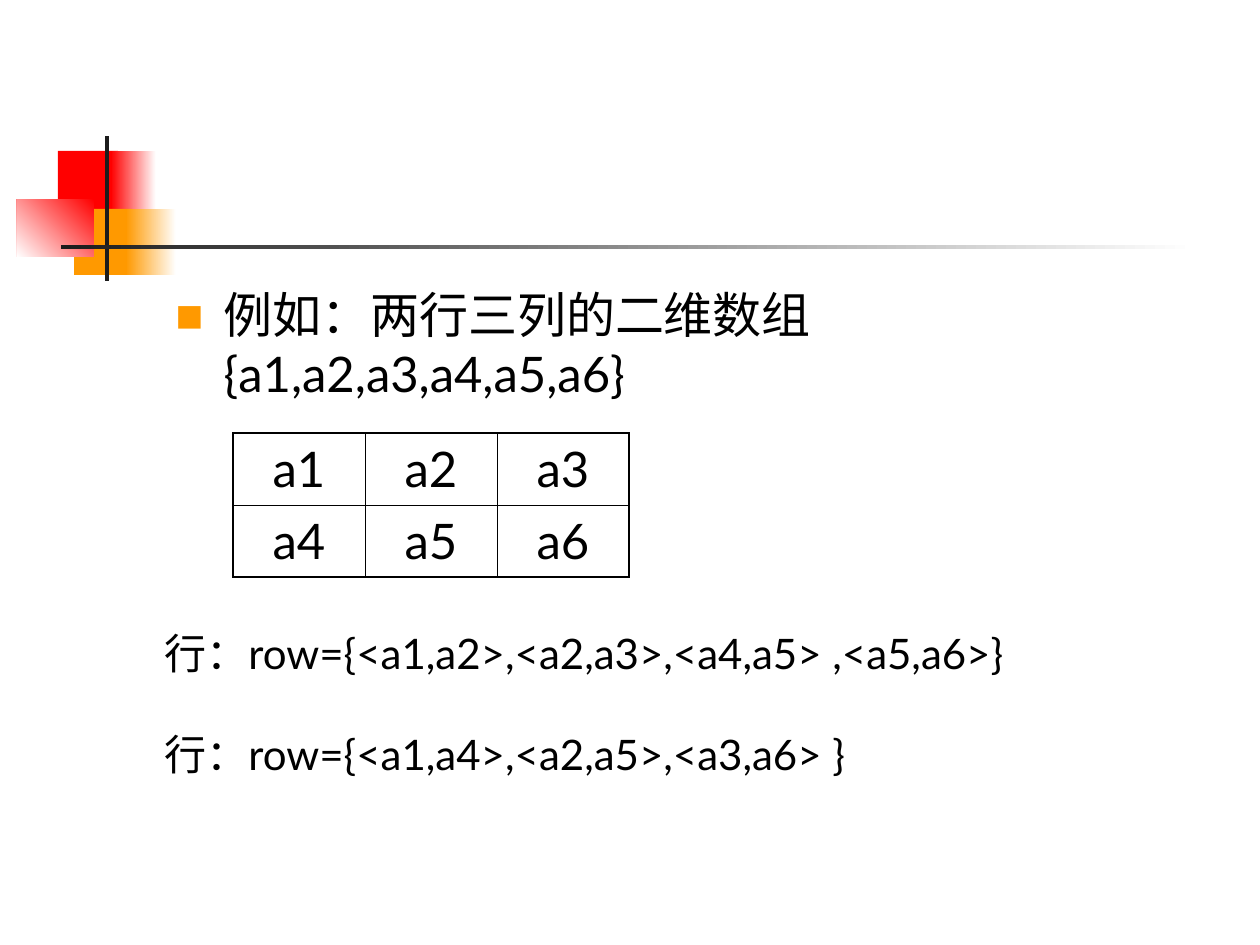
from dataclasses import dataclass

from lxml.etree import SubElement
from pptx import Presentation
from pptx.dml.color import RGBColor
from pptx.enum.shapes import MSO_SHAPE
from pptx.enum.text import MSO_ANCHOR, MSO_AUTO_SIZE, PP_ALIGN
from pptx.oxml.ns import qn
from pptx.util import Pt

SCALE = 914400 / 126


@dataclass(frozen=True)
class Theme:
    """Colours, font and sizes of the slide."""
    red: str = "FF0000"
    gold: str = "FF9900"
    dark: str = "1C1C1C"
    white: str = "FFFFFF"
    black: str = "000000"
    font: str = "Lato"
    large: int = 28
    small: int = 24
    thick: float = 1.08
    thin: float = 0.45


THEME = Theme()


def px(*sizes):
    """Turn pixel lengths into EMU."""
    return [round(size * SCALE) for size in sizes]


def put(para, text, size=THEME.large, align=PP_ALIGN.LEFT, before=0):
    """Write formatted text into a paragraph."""
    para.alignment = align
    para.space_before = Pt(before)
    run = para.add_run()
    run.text = text
    run.font.name = THEME.font
    run.font.size = Pt(size)
    run.font.color.rgb = RGBColor.from_string(THEME.black)


def block(slide, box, *tints, angle=180):
    """Draw a rectangle filled with one colour or a fade of two."""
    shape = slide.shapes.add_shape(MSO_SHAPE.RECTANGLE, *px(*box))
    shape.shadow.inherit = False
    shape.line.fill.background()
    if len(tints) == 1:
        shape.fill.solid()
        shape.fill.fore_color.rgb = RGBColor.from_string(tints[0])
        return
    shape.fill.gradient()
    shape.fill.gradient_angle = 360 - angle
    for stop, tint in zip(shape.fill.gradient_stops, tints):
        stop.color.rgb = RGBColor.from_string(tint)


def motif(slide, left, top):
    """Place the coloured squares and crossed bars."""
    def part(x, y, wide, high, *tints, **style):
        block(slide, (left + x, top + y, wide, high), *tints, **style)

    part(41, 15, 60, 66, THEME.red)
    part(94, 15, 45, 66, THEME.white, THEME.red)
    part(57, 73, 58, 66, THEME.gold)
    part(109, 73, 50, 66, THEME.white, THEME.gold)
    part(0, 63, 77, 58, THEME.red, THEME.white, angle=135)
    part(88, 0, 4, 145, THEME.dark)
    part(44, 109, 1134, 4, THEME.white, THEME.dark)


def bullet(para, indent):
    """Give a paragraph a hanging square bullet."""
    props = para._p.get_or_add_pPr()
    props.set("marL", str(indent))
    props.set("indent", str(-indent))
    tint = SubElement(props, qn("a:buClr"))
    SubElement(tint, qn("a:srgbClr"), val=THEME.gold)
    SubElement(props, qn("a:buSzPct"), val="60000")
    SubElement(props, qn("a:buFont"), typeface=THEME.font)
    SubElement(props, qn("a:buChar"), char="■")


def body(slide, box, text):
    """Fill the body placeholder with one bullet point."""
    holder = slide.placeholders[1]
    holder.left, holder.top, holder.width, holder.height = px(*box)
    frame = holder.text_frame
    frame.word_wrap = True
    frame.auto_size = MSO_AUTO_SIZE.NONE
    frame.vertical_anchor = MSO_ANCHOR.TOP
    para = frame.paragraphs[0]
    bullet(para, *px(48))
    put(para, text)


def border(cell, **widths):
    """Draw the cell borders, one width in points for each side."""
    props = cell._tc.get_or_add_tcPr()
    for side, width in widths.items():
        line = SubElement(props, qn(f"a:ln{side}"), w=str(Pt(width)))
        fill = SubElement(line, qn("a:solidFill"))
        SubElement(fill, qn("a:srgbClr"), val=THEME.black)


def matrix(slide, box, rows):
    """Place the array as a table with a thick outer frame."""
    high, wide = len(rows), len(rows[0])
    table = slide.shapes.add_table(high, wide, *px(*box)).table
    table.first_row = table.horz_banding = False

    def edge(outer):
        return THEME.thick if outer else THEME.thin

    for i, row in enumerate(rows):
        for j, text in enumerate(row):
            cell = table.cell(i, j)
            border(cell, L=edge(j == 0), R=edge(j == wide - 1),
                   T=edge(i == 0), B=edge(i == high - 1))
            cell.fill.background()
            put(cell.text_frame.paragraphs[0], text, align=PP_ALIGN.CENTER)


def notes(slide, box, lines, gap):
    """Place the relation lines, set apart by a gap in points."""
    frame = slide.shapes.add_textbox(*px(*box)).text_frame
    frame.word_wrap = False
    frame.auto_size = MSO_AUTO_SIZE.SHAPE_TO_FIT_TEXT
    for i, line in enumerate(lines):
        para = frame.add_paragraph() if i else frame.paragraphs[0]
        put(para, line, size=THEME.small, before=gap if i else 0)


def main():
    """Build and save the slide."""
    deck = Presentation()
    deck.slide_width, deck.slide_height = px(1260, 945)
    slide = deck.slides.add_slide(deck.slide_layouts[1])
    title = slide.shapes.title._element
    title.getparent().remove(title)
    motif(slide, 17, 136)
    body(slide, (163, 278, 914, 567),
         "例如：两行三列的二维数组{a1,a2,a3,a4,a5,a6}")
    matrix(slide, (233, 433, 396, 144),
           [["a1", "a2", "a3"], ["a4", "a5", "a6"]])
    notes(slide, (152, 621, 900, 164),
          ["行：row={<a1,a2>,<a2,a3>,<a4,a5> ,<a5,a6>}",
           "行：row={<a1,a4>,<a2,a5>,<a3,a6> }"], gap=29)
    deck.save("out.pptx")


if __name__ == "__main__":
    main()
